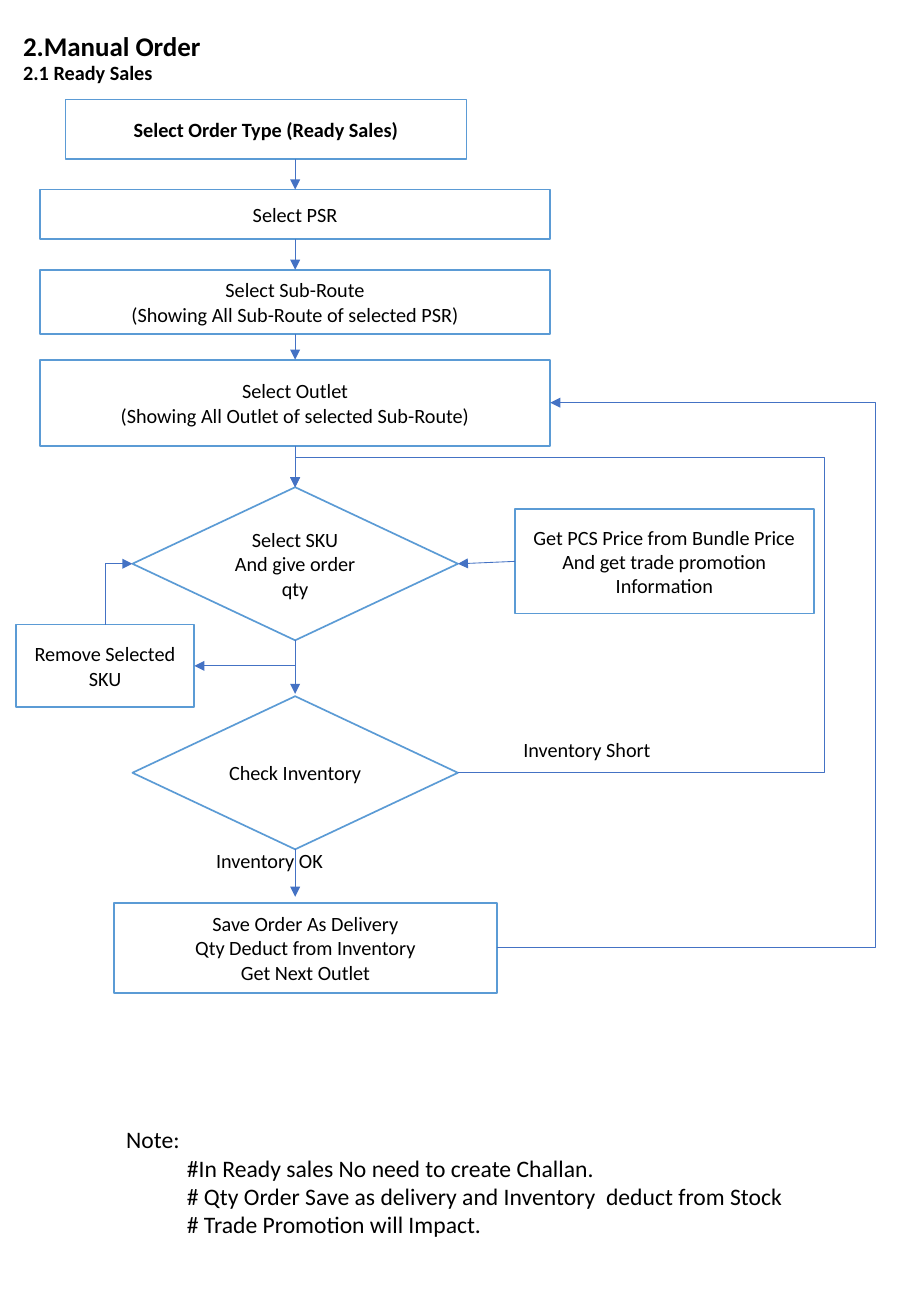
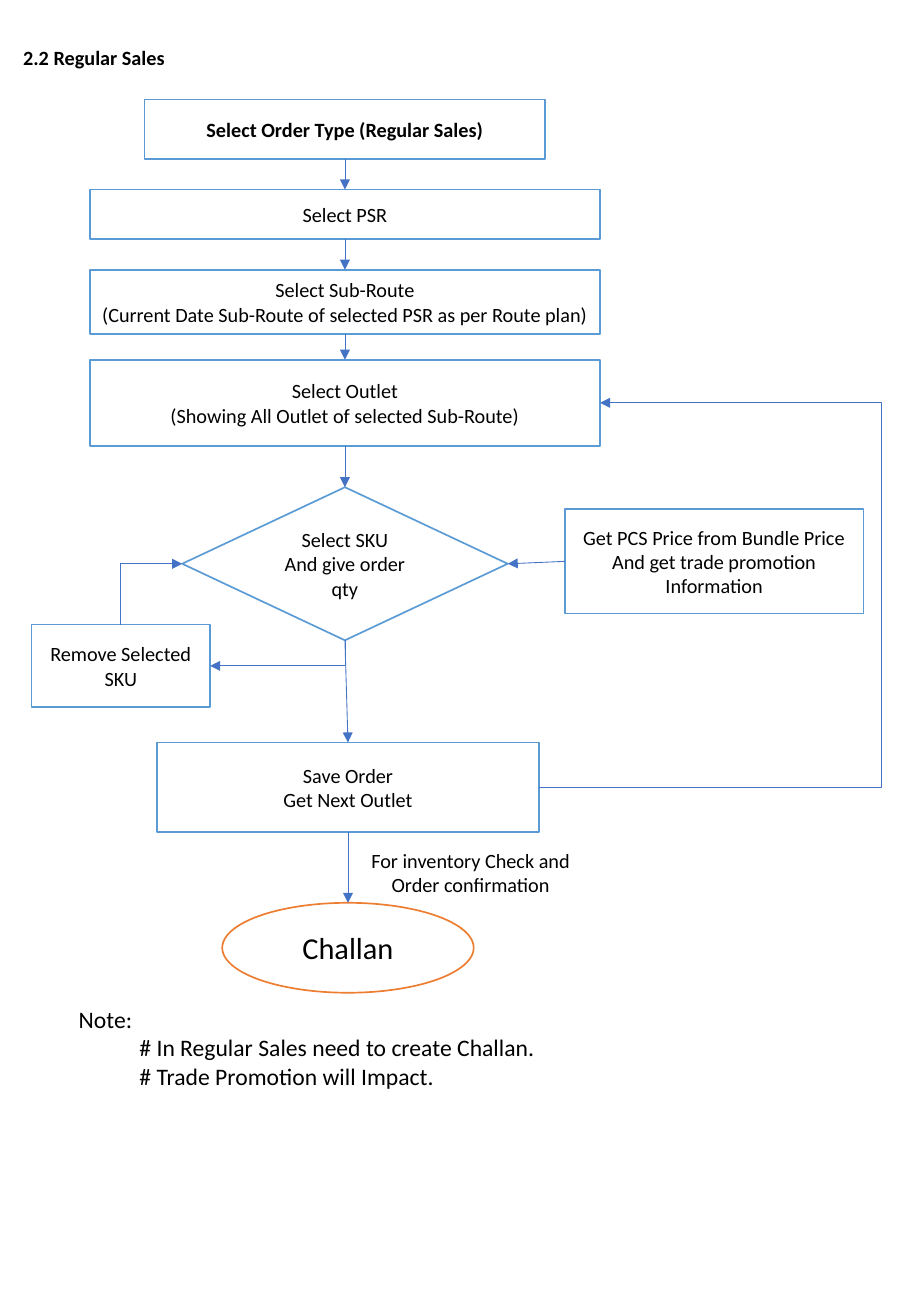
from lxml import etree
from pptx import Presentation
from pptx.dml.color import RGBColor
from pptx.enum.shapes import MSO_CONNECTOR as CONN, MSO_SHAPE as SHAPE
from pptx.enum.text import MSO_ANCHOR as ANCHOR, MSO_AUTO_SIZE as AUTO, PP_ALIGN as ALIGN
from pptx.oxml.ns import qn
from pptx.util import Inches, Pt

FONT = "Calibri"
BLACK, WHITE = "000000", "FFFFFF"
BLUE, ORANGE, ARROW = "5B9BD5", "ED7D31", "4472C4"


def rgb(value):
    """Turn a hex string into a colour."""
    return RGBColor.from_string(value)


def pt(x, y):
    """Return a point given in inches."""
    return Inches(x), Inches(y)


def side(sp, name):
    """Return the middle of one side of a shape."""
    mid_x, mid_y = sp.left + sp.width // 2, sp.top + sp.height // 2
    return {"top": (mid_x, sp.top), "bottom": (mid_x, sp.top + sp.height),
            "left": (sp.left, mid_y), "right": (sp.left + sp.width, mid_y)}[name]


class Deck:
    """Holds the shared style and the current slide."""

    def __init__(self):
        """Set the page size and the shared title style."""
        self.prs = Presentation()
        self.prs.slide_width, self.prs.slide_height = pt(7.5, 10.83)
        self.layout = self.prs.slide_layouts[5]
        title = self.layout.placeholders[0]
        title.left, title.top = pt(0.09, 0.24)
        title.width, title.height = pt(6.47, 0.49)
        style = self.prs.slide_master.element.find(".//" + qn("p:titleStyle"))
        level = style.find(qn("a:lvl1pPr"))
        level.set("algn", "l")
        level.find(qn("a:defRPr")).set("sz", "1600")

    def style_runs(self, p, size, bold=False):
        """Format every run of a paragraph."""
        for r in p.runs:
            r.font.name, r.font.size, r.font.bold = FONT, Pt(size), bold
            r.font.color.rgb = rgb(BLACK)

    def fill_text(self, tf, lines, size, bold=False, align=ALIGN.CENTER):
        """Fill a text frame with one paragraph per line."""
        tf.text = "\n".join(lines)
        for p in tf.paragraphs:
            p.alignment = align
            self.style_runs(p, size, bold)

    def new_slide(self, *title_lines):
        """Add a slide whose last title line is the section name."""
        self.slide = self.prs.slides.add_slide(self.layout)
        tf = self.slide.shapes.title.text_frame
        tf.auto_size, tf.vertical_anchor = AUTO.NONE, ANCHOR.MIDDLE
        p = tf.paragraphs[0]
        p.text = "\v".join(title_lines)
        p.line_spacing = 0.9
        self.style_runs(p, 16, True)
        p.runs[-1].font.size = Pt(12)

    def node(self, x, y, w, h, *lines, shape=SHAPE.RECTANGLE, line=BLUE, size=12, bold=False):
        """Add an outlined step of the flow."""
        sp = self.slide.shapes.add_shape(shape, *pt(x, y), *pt(w, h))
        sp.shadow.inherit = False
        sp.fill.solid()
        sp.fill.fore_color.rgb = rgb(WHITE)
        sp.line.color.rgb = rgb(line)
        sp.line.width = Pt(1)
        sp.text_frame.vertical_anchor = ANCHOR.MIDDLE
        sp.text_frame.word_wrap = True
        self.fill_text(sp.text_frame, lines, size, bold)
        return sp

    def label(self, x, y, w, h, *lines, size=12, align=ALIGN.LEFT):
        """Add free text that does not wrap."""
        sp = self.slide.shapes.add_textbox(*pt(x, y), *pt(w, h))
        tf = sp.text_frame
        tf.word_wrap, tf.auto_size = False, AUTO.SHAPE_TO_FIT_TEXT
        self.fill_text(tf, lines, size, align=align)
        return sp

    def note(self, x, y, w, h, *lines):
        """Add a note with indented remarks."""
        sp = self.label(x, y, w, h, "Note:", *lines, size=14)
        for p in sp.text_frame.paragraphs[1:]:
            p._p.get_or_add_pPr().set("marL", str(Inches(0.5)))

    def arrow(self, start, end, kind=CONN.STRAIGHT):
        """Add a thin connector with an arrowhead at its end."""
        c = self.slide.shapes.add_connector(kind, *start, *end)
        c.line.color.rgb = rgb(ARROW)
        c.line.width = Pt(0.5)
        props = c._element.spPr
        etree.SubElement(props.find(qn("a:ln")), qn("a:tailEnd"), type="triangle")
        etree.SubElement(props, qn("a:effectLst"))
        return c

    def glue(self, first, second, begin=2, end=0):
        """Link two steps at connection sites: 0 top, 1 left, 2 bottom, 3 right."""
        c = self.arrow(side(first, "bottom"), side(second, "top"))
        c.begin_connect(first, begin)
        c.end_connect(second, end)

    def corner(self, start, end):
        """Add an arrow that runs vertically, then horizontally."""
        (x1, y1), (x2, y2) = start, end
        mid_x, mid_y = (x1 + x2) // 2, (y1 + y2) // 2
        half_x, half_y = (x2 - x1) // 2, (y2 - y1) // 2
        c = self.arrow((mid_x - half_y, mid_y + half_x),
                       (mid_x + half_y, mid_y - half_x), CONN.ELBOW)
        props = c._element.spPr
        props.find(qn("a:xfrm")).set("rot", "5400000")
        props.find(qn("a:prstGeom")).set("prst", "bentConnector2")

    def loop(self, start, end, via_x, via_y=None):
        """Add an arrow that returns by a lane at via_x, and at via_y if given."""
        c = self.arrow(start, end, CONN.ELBOW)
        geom = c._element.spPr.find(qn("a:prstGeom"))
        ratios = [(Inches(via_x) - start[0]) / (end[0] - start[0])]
        if via_y is not None:
            ratios.append((Inches(via_y) - start[1]) / (end[1] - start[1]))
        geom.set("prst", f"bentConnector{2 + len(ratios)}")
        guides = geom.find(qn("a:avLst"))
        if guides is None:
            guides = etree.SubElement(geom, qn("a:avLst"))
        for i, ratio in enumerate(ratios, 1):
            etree.SubElement(guides, qn("a:gd"), name=f"adj{i}",
                             fmla=f"val {round(ratio * 100000)}")


def order_steps(deck, left, type_left, remove_left, sales, routes):
    """Draw the steps both sales types share; return outlet and SKU steps."""
    axis = left + 2.1
    order_type = deck.node(type_left, 0.82, 3.3, 0.49,
                           f"Select Order Type ({sales} Sales)", bold=True)
    psr = deck.node(left, 1.56, 4.2, 0.41, "Select PSR")
    route = deck.node(left, 2.22, 4.2, 0.53, "Select Sub-Route", f"({routes})")
    outlet = deck.node(left, 2.96, 4.2, 0.71, "Select Outlet",
                       "(Showing All Outlet of selected Sub-Route)")
    sku = deck.node(axis - 1.34, 4.01, 2.68, 1.26, "Select SKU", "And give order qty",
                    shape=SHAPE.DIAMOND)
    price = deck.node(left + 3.91, 4.19, 2.46, 0.86, "Get PCS Price from Bundle Price",
                      "And get trade promotion Information")
    remove = deck.node(remove_left, 5.14, 1.47, 0.68, "Remove Selected SKU")
    deck.arrow((Inches(axis), side(order_type, "bottom")[1]), side(psr, "top"))
    for first, second in [(psr, route), (route, outlet), (outlet, sku)]:
        deck.glue(first, second)
    deck.glue(price, sku, 1, 3)
    deck.corner(side(sku, "bottom"), side(remove, "right"))
    deck.corner(side(remove, "top"), side(sku, "left"))
    return outlet, sku


def ready_sales(deck):
    """Build the ready sales slide."""
    deck.new_slide("2.Manual Order", "2.1 Ready Sales")
    outlet, sku = order_steps(deck, 0.33, 0.54, 0.13, "Ready",
                              "Showing All Sub-Route of selected PSR")
    check = deck.node(1.09, 5.73, 2.68, 1.26, "Check Inventory", shape=SHAPE.DIAMOND)
    save = deck.node(0.94, 7.43, 3.15, 0.74, "Save Order As Delivery",
                     "Qty Deduct from Inventory", "Get Next Outlet")
    deck.arrow(side(sku, "bottom"), pt(2.43, 5.71))
    deck.arrow(side(check, "bottom"), pt(2.43, 7.38))
    deck.loop(side(check, "right"), side(sku, "top"), 6.79, 3.76)
    deck.loop(side(save, "right"), side(outlet, "right"), 7.21)
    deck.label(4.21, 6.02, 1.26, 0.3, "Inventory Short")
    deck.label(1.68, 6.93, 1.09, 0.3, "Inventory OK")
    deck.note(0.94, 9.21, 5.65, 1.04, "#In Ready sales No need to create Challan.",
              "# Qty Order Save as delivery and Inventory  deduct from Stock",
              "# Trade Promotion will Impact.")


def regular_sales(deck):
    """Build the regular sales slide."""
    deck.new_slide("2.2 Regular Sales")
    outlet, sku = order_steps(deck, 0.74, 1.19, 0.26, "Regular",
                              "Current Date Sub-Route of selected PSR as per Route plan")
    save = deck.node(1.29, 6.11, 3.15, 0.74, "Save Order", "Get Next Outlet")
    challan = deck.node(1.83, 7.43, 2.07, 0.74, "Challan", shape=SHAPE.OVAL,
                        line=ORANGE, size=18)
    deck.glue(sku, save)
    deck.glue(save, challan)
    deck.loop(side(save, "right"), side(outlet, "right"), 7.26)
    deck.label(2.93, 6.93, 1.89, 0.5, "For inventory Check and", "Order confirmation",
               align=ALIGN.CENTER)
    deck.note(0.55, 8.22, 4.03, 0.8, "# In Regular Sales need to create Challan.",
              "# Trade Promotion will Impact.")


deck = Deck()
ready_sales(deck)
regular_sales(deck)
deck.prs.save("out.pptx")
